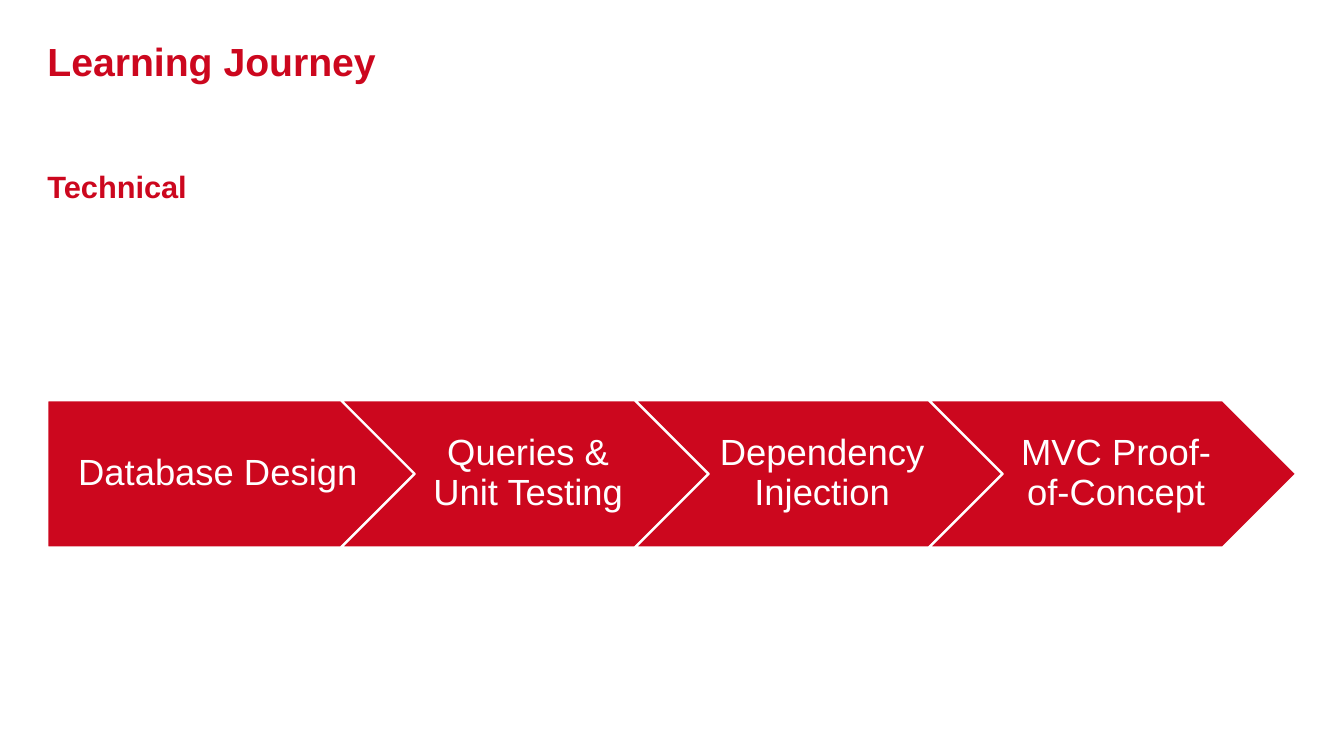
from dataclasses import dataclass

from pptx import Presentation
from pptx.dml.color import RGBColor
from pptx.enum.shapes import MSO_SHAPE as Shape
from pptx.enum.text import MSO_ANCHOR as Anchor, MSO_AUTO_SIZE as AutoSize, PP_ALIGN as Align
from pptx.util import Pt

TITLE = "Learning Journey"
SUBTITLE = "Technical"
STEPS = ["Database Design", "Queries & Unit Testing", "Dependency Injection", "MVC Proof-of-Concept"]


@dataclass(frozen=True)
class Theme:
    font: str = "Arial"
    red: RGBColor = RGBColor(0xCC, 0x07, 0x1E)
    white: RGBColor = RGBColor(0xFF, 0xFF, 0xFF)
    title_size: int = 28
    subtitle_size: int = 22
    step_size: int = 26


THEME = Theme()
LEFT, CONTENT_WIDTH = 33.84, 892
STEP_TOP, STEP_WIDTH, STEP_HEIGHT, STEP_PITCH = 286, 262, 105, 210


def write_text(box, text, size, color, bold=False, align=Align.LEFT,
               anchor=Anchor.MIDDLE, insets=(0, 0, 0, 0), spacing=1.0):
    """Fill a shape with one formatted paragraph; insets run left, top, right, bottom."""
    frame = box.text_frame
    frame.word_wrap = True
    frame.auto_size = AutoSize.NONE
    frame.vertical_anchor = anchor
    frame.margin_left, frame.margin_top, frame.margin_right, frame.margin_bottom = map(Pt, insets)
    para = frame.paragraphs[0]
    para.alignment = align
    para.line_spacing = spacing
    span = para.add_run()
    span.text = text
    span.font.name = THEME.font
    span.font.size = Pt(size)
    span.font.bold = bold
    span.font.color.rgb = color


def add_step(page, index, text):
    """Draw one step of the journey, the first with a flat left edge."""
    first = index == 0
    box = page.shapes.add_shape(
        Shape.PENTAGON if first else Shape.CHEVRON,
        Pt(LEFT + index * STEP_PITCH), Pt(STEP_TOP), Pt(STEP_WIDTH), Pt(STEP_HEIGHT))
    box.shadow.inherit = False
    box.fill.solid()
    box.fill.fore_color.rgb = THEME.red
    box.line.color.rgb = THEME.white
    box.line.width = Pt(1.35)
    write_text(box, text, THEME.step_size, THEME.white, align=Align.CENTER,
               insets=(11, 6, 3, 6) if first else (7, 6, 2, 6), spacing=0.9)


def main():
    """Build and save the slide."""
    deck = Presentation()
    deck.slide_width, deck.slide_height = Pt(960), Pt(540)
    page = deck.slides.add_slide(deck.slide_layouts[5])

    title = page.shapes.title
    title.left, title.top, title.width, title.height = Pt(LEFT), Pt(0), Pt(765), Pt(86.4)
    write_text(title, TITLE, THEME.title_size, THEME.red, bold=True)

    subtitle = page.shapes.add_textbox(Pt(LEFT), Pt(120), Pt(CONTENT_WIDTH), Pt(27))
    write_text(subtitle, SUBTITLE, THEME.subtitle_size, THEME.red, bold=True, anchor=Anchor.TOP)

    for index, text in enumerate(STEPS):
        add_step(page, index, text)

    deck.save("out.pptx")


if __name__ == "__main__":
    main()
